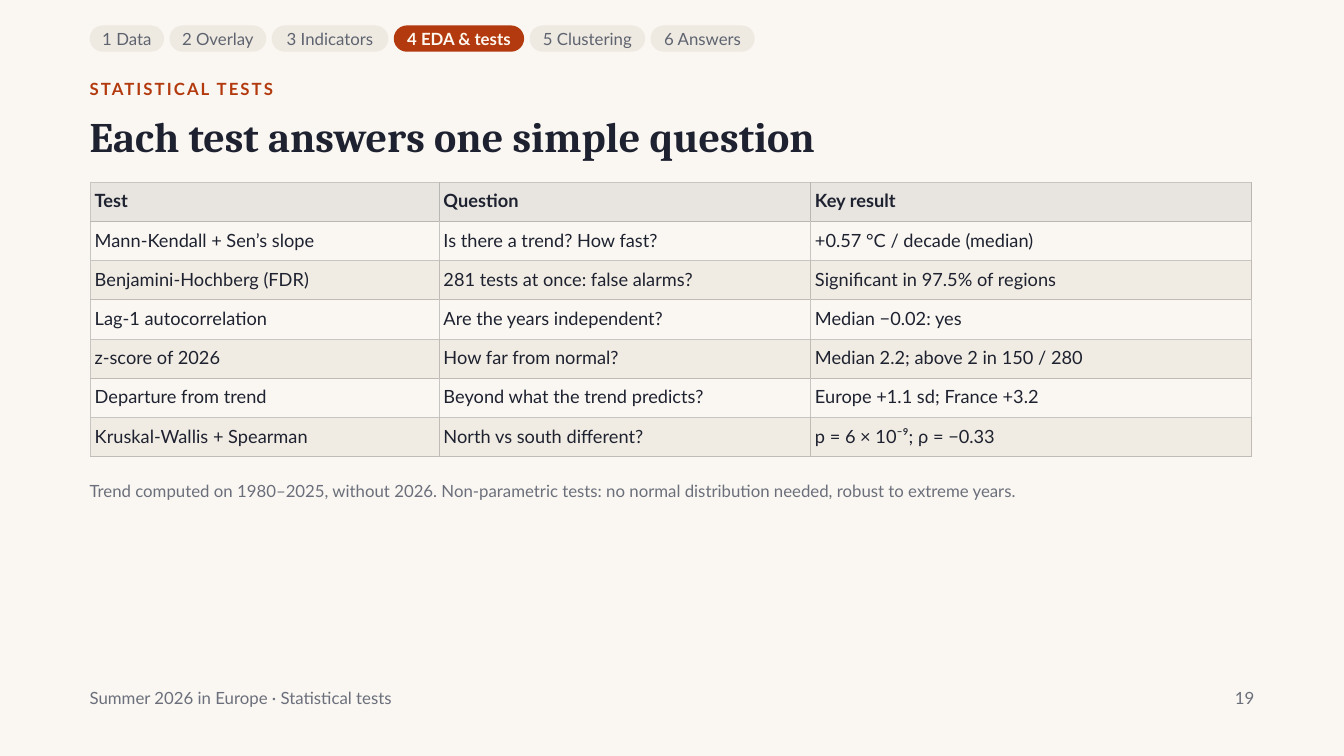
from pptx import Presentation
from pptx.dml.color import RGBColor
from pptx.enum.shapes import MSO_SHAPE
from pptx.enum.text import MSO_ANCHOR, MSO_AUTO_SIZE, PP_ALIGN
from pptx.oxml import parse_xml
from pptx.oxml.ns import nsdecls
from pptx.util import Pt

BACKGROUND = RGBColor(0xFA, 0xF7, 0xF2)
INK = RGBColor(0x1E, 0x22, 0x30)
MUTED = RGBColor(0x6B, 0x6F, 0x7B)
ACCENT = RGBColor(0xB2, 0x3A, 0x0E)
PILL = RGBColor(0xEF, 0xEA, 0xE1)
PILL_TEXT = RGBColor(0x5E, 0x63, 0x70)
ACTIVE_TEXT = RGBColor(0xFF, 0xF8, 0xF0)
HEADER_FILL = RGBColor(0xE8, 0xE5, 0xE0)
BAND_FILL = RGBColor(0xF1, 0xEC, 0xE3)
HEADER_BORDER = RGBColor(0xB9, 0xB7, 0xB3)
PLAIN_BORDER = RGBColor(0xC7, 0xC5, 0xC1)
BAND_BORDER = RGBColor(0xC0, 0xBC, 0xB5)

LEFT = 96


def write(text_frame, text, size, color, bold=False, align=PP_ALIGN.LEFT,
          spacing=25.2, font="Lato", margins=(0, 0, 0, 0)):
    text_frame.text = text
    text_frame.word_wrap = True
    text_frame.auto_size = MSO_AUTO_SIZE.NONE
    (text_frame.margin_left, text_frame.margin_top,
     text_frame.margin_right, text_frame.margin_bottom) = map(Pt, margins)
    paragraph = text_frame.paragraphs[0]
    paragraph.alignment = align
    paragraph.line_spacing = Pt(spacing)
    run = paragraph.runs[0]
    run.font.name = font
    run.font.size = Pt(size)
    run.font.bold = bold
    run.font.color.rgb = color
    return run


def set_border(cell, side, color):
    cell._tc.get_or_add_tcPr().append(parse_xml(
        f'<a:{side} {nsdecls("a")} w="12700"><a:solidFill>'
        f'<a:srgbClr val="{color}"/></a:solidFill></a:{side}>'))


presentation = Presentation()
presentation.slide_width = Pt(1440)
presentation.slide_height = Pt(810)
slide = presentation.slides.add_slide(presentation.slide_layouts[5])
slide.background.fill.solid()
slide.background.fill.fore_color.rgb = BACKGROUND

# Section navigation
sections = [("1 Data", 79.8), ("2 Overlay", 103.7), ("3 Indicators", 125),
            ("4 EDA & tests", 139.7), ("5 Clustering", 123.8), ("6 Answers", 111.6)]
pill_left = LEFT
for label, width in sections:
    active = label == "4 EDA & tests"
    pill = slide.shapes.add_shape(MSO_SHAPE.ROUNDED_RECTANGLE, Pt(pill_left),
                                  Pt(27.2), Pt(width), Pt(28.2))
    pill.adjustments[0] = 0.5
    pill.shadow.inherit = False
    pill.fill.solid()
    pill.fill.fore_color.rgb = ACCENT if active else PILL
    pill.line.fill.background()
    write(pill.text_frame, label, 18, ACTIVE_TEXT if active else PILL_TEXT,
          bold=active, align=PP_ALIGN.CENTER, margins=(0, 0, 0, 3))
    pill.text_frame.vertical_anchor = MSO_ANCHOR.MIDDLE
    pill_left += width + 5.8

# Title
title = slide.shapes.title
title.left, title.top, title.width, title.height = Pt(LEFT), Pt(120.2), Pt(1285), Pt(52.5)
write(title.text_frame, "Each test answers one simple question", 45, INK,
      bold=True, spacing=51.7, font="Cambria")
title.text_frame.vertical_anchor = MSO_ANCHOR.TOP

# Kicker, note, footer and page number
texts = [
    ("STATISTICAL TESTS", LEFT, 80.6, 1285, ACCENT, True, PP_ALIGN.LEFT),
    ("Trend computed on 1980–2025, without 2026. Non-parametric tests: "
     "no normal distribution needed, robust to extreme years.",
     LEFT, 511.2, 1285, MUTED, False, PP_ALIGN.LEFT),
    ("Summer 2026 in Europe · Statistical tests",
     LEFT, 733.7, 1081, MUTED, False, PP_ALIGN.LEFT),
    ("19", 1248, 733.7, 96, MUTED, False, PP_ALIGN.RIGHT),
]
for text, left, top, width, color, bold, align in texts:
    box = slide.shapes.add_textbox(Pt(left), Pt(top), Pt(width), Pt(31))
    run = write(box.text_frame, text, 18, color, bold, align)
    if color == ACCENT:
        run._r.get_or_add_rPr().set("spc", "220")

# Table of tests
rows = [
    ("Test", "Question", "Key result"),
    ("Mann-Kendall + Sen’s slope", "Is there a trend? How fast?",
     "+0.57 °C / decade (median)"),
    ("Benjamini-Hochberg (FDR)", "281 tests at once: false alarms?",
     "Significant in 97.5% of regions"),
    ("Lag-1 autocorrelation", "Are the years independent?", "Median −0.02: yes"),
    ("z-score of 2026", "How far from normal?", "Median 2.2; above 2 in 150 / 280"),
    ("Departure from trend", "Beyond what the trend predicts?",
     "Europe +1.1 sd; France +3.2"),
    ("Kruskal-Wallis + Spearman", "North vs south different?",
     "p = 6 × 10⁻⁹; ρ = −0.33"),
]
column_widths = [373.7, 398, 472]
row_height = 42
table = slide.shapes.add_table(len(rows), len(column_widths), Pt(97), Pt(195.2),
                               Pt(sum(column_widths)), Pt(row_height * len(rows))).table
table.horz_banding = False
for column, width in zip(table.columns, column_widths):
    column.width = Pt(width)

border_above = PLAIN_BORDER
for row_index, values in enumerate(rows):
    table.rows[row_index].height = Pt(row_height)
    if row_index == 0:
        fill_color, border = HEADER_FILL, HEADER_BORDER
    elif row_index % 2:
        fill_color, border = None, PLAIN_BORDER
    else:
        fill_color, border = BAND_FILL, BAND_BORDER
    for column_index, value in enumerate(values):
        cell = table.cell(row_index, column_index)
        write(cell.text_frame, value, 19.5, INK, bold=row_index == 0, spacing=27.3)
        cell.margin_left = cell.margin_right = Pt(4.5)
        cell.margin_top = cell.margin_bottom = Pt(4.5)
        set_border(cell, "lnL", border if column_index else PLAIN_BORDER)
        set_border(cell, "lnR", border)
        set_border(cell, "lnT", border_above)
        set_border(cell, "lnB", border)
        if fill_color:
            cell.fill.solid()
            cell.fill.fore_color.rgb = fill_color
        else:
            cell.fill.background()
    border_above = border

presentation.save("out.pptx")
